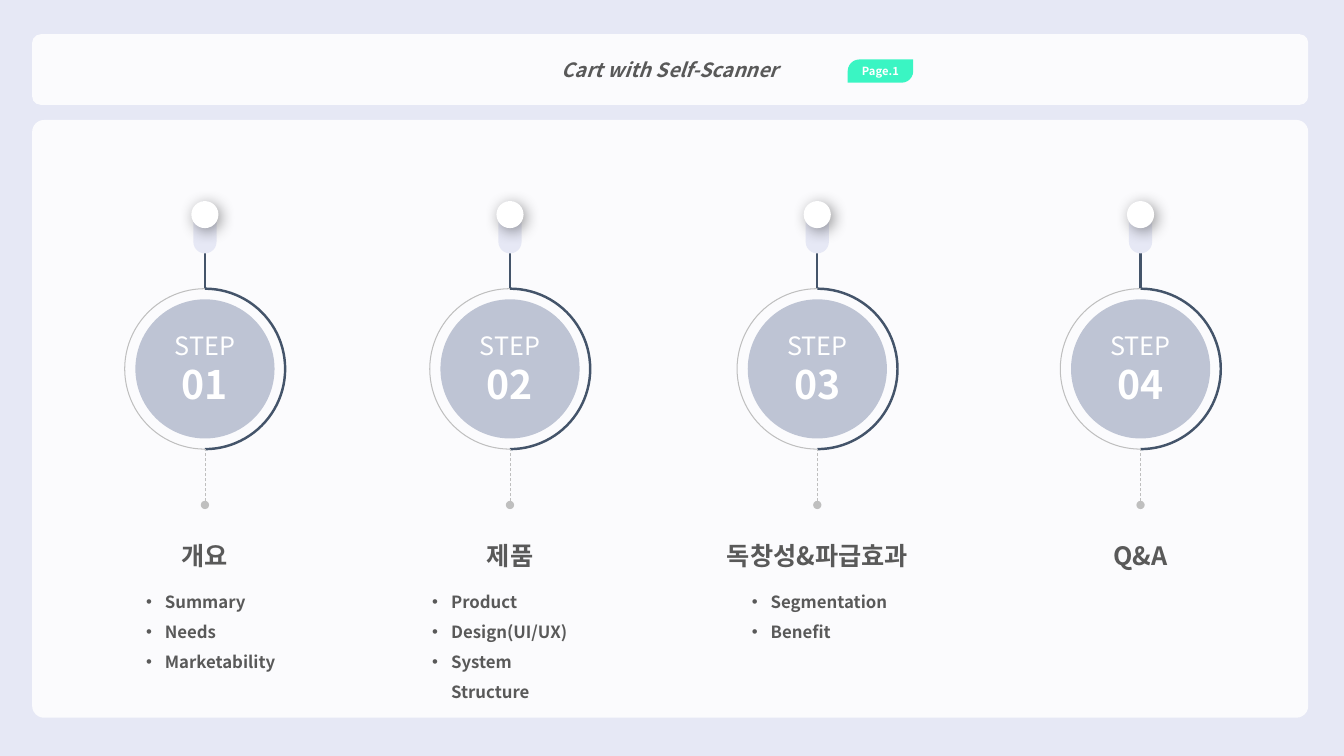
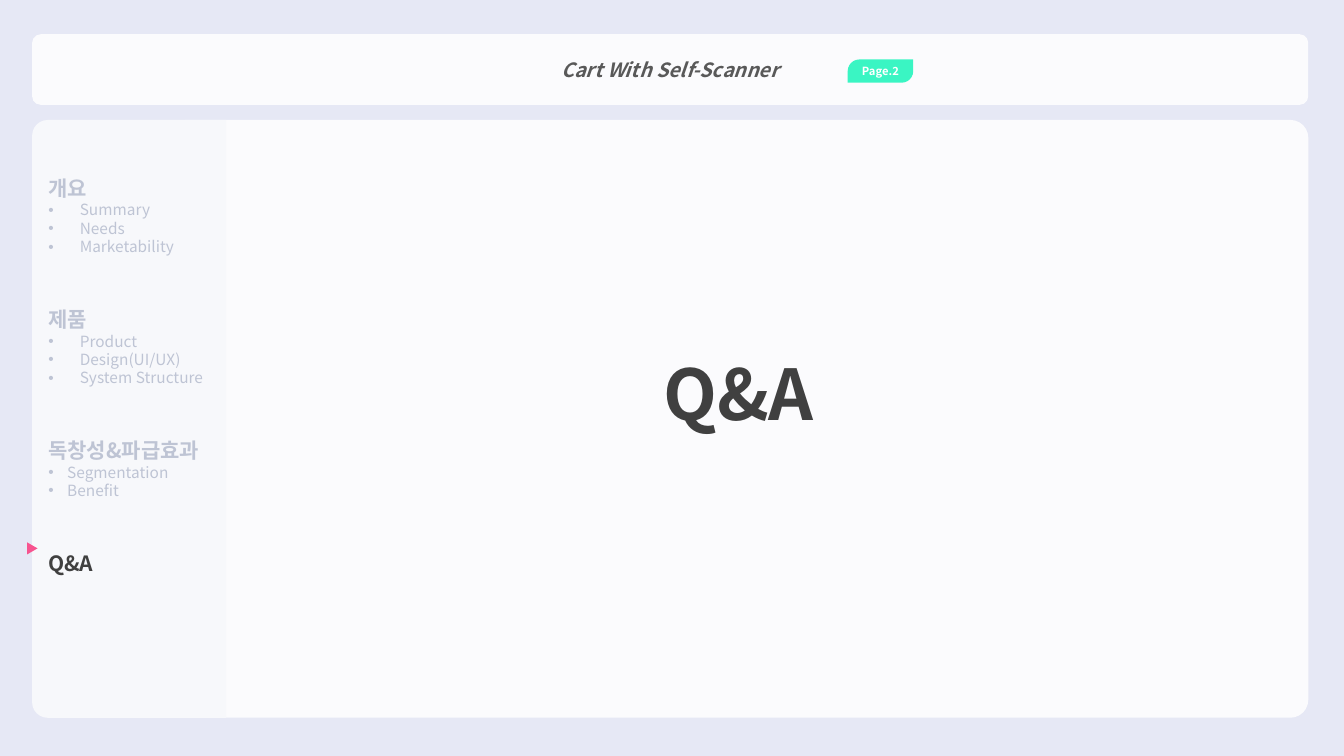
from collections import namedtuple

from lxml import etree
from pptx import Presentation
from pptx.dml.color import RGBColor
from pptx.enum import dml, shapes, text
from pptx.oxml import ns
from pptx.util import Pt

FONT = "Noto Sans CJK KR"
LAVENDER = RGBColor(0xE6, 0xE8, 0xF5)
PANEL = RGBColor(0xFB, 0xFB, 0xFD)
SIDEBAR = RGBColor(0xF7, 0xF8, 0xFB)
MINT = RGBColor(0x3A, 0xF5, 0xC3)
PINK = RGBColor(0xF7, 0x53, 0x8F)
WHITE = RGBColor(0xFF, 0xFF, 0xFF)
NAVY = RGBColor(0x44, 0x54, 0x6A)
MIST = RGBColor(0xBE, 0xC4, 0xD4)
GREY = RGBColor(0xBF, 0xBF, 0xBF)
BODY = RGBColor(0x59, 0x59, 0x59)
DARK = RGBColor(0x40, 0x40, 0x40)

PRESET = shapes.MSO_SHAPE
CENTER = text.PP_ALIGN.CENTER
LEFT = text.PP_ALIGN.LEFT
HEADER_BOX = (23, 24.5, 911.5, 50.4)
CONTENT_BOX = (23, 85.7, 911.5, 427)

Section = namedtuple("Section", "name topics center list_left list_width indent")
SECTIONS = [
    Section("개요", ["Summary", "Needs", "Marketability"], 146.4, 97.2, 107.3, 22.5),
    Section("제품", ["Product", "Design(UI/UX)", "System Structure"], 364.3, 301.7, 127.4, 22.5),
    Section("독창성&파급효과", ["Segmentation", "Benefit"], 583.8, 529.9, 111.6, 13.5),
    Section("Q&A", [], 814.7, 0, 0, 0),
]


class Deck:
    def __init__(self):
        self.presentation = Presentation()
        self.presentation.slide_width = Pt(960)
        self.presentation.slide_height = Pt(540)
        background = self.presentation.slide_master.background.fill
        background.solid()
        background.fore_color.rgb = LAVENDER
        self.slide = None

    def child(self, parent, tag, **attributes):
        element = etree.SubElement(parent, ns.qn(tag))
        for name, value in attributes.items():
            element.set(name, str(value))
        return element

    def add_slide(self, title, page):
        layout = self.presentation.slide_layouts.get_by_name("Title Only")
        self.slide = self.presentation.slides.add_slide(layout)
        self.shape(PRESET.ROUNDED_RECTANGLE, *HEADER_BOX, PANEL, adjustments=[0.12])
        placeholder = self.slide.shapes.title
        placeholder.left, placeholder.top, placeholder.width, placeholder.height = map(Pt, HEADER_BOX)
        placeholder.element.getparent().append(placeholder.element)
        frame = placeholder.text_frame
        frame.auto_size = text.MSO_AUTO_SIZE.NONE
        frame.vertical_anchor = text.MSO_ANCHOR.MIDDLE
        self.add_text(frame, title, 14, BODY, bold=True, italic=True, align=CENTER)
        badge = self.shape(PRESET.ROUND_2_DIAG_RECTANGLE, 605.5, 42.5, 46.8, 16.6, MINT,
                           adjustments=[0.5, 0])
        self.add_text(badge.text_frame, f"Page.{page}", 8, WHITE, bold=True, align=CENTER)

    def shape(self, preset, left, top, width, height, color, rotation=0, adjustments=()):
        if rotation in (90, 270):
            left, top = left + (width - height) / 2, top + (height - width) / 2
            width, height = height, width
        shape = self.slide.shapes.add_shape(preset, Pt(left), Pt(top), Pt(width), Pt(height))
        shape.rotation = rotation
        shape.shadow.inherit = False
        shape.line.fill.background()
        shape.fill.solid()
        shape.fill.fore_color.rgb = color
        for index, value in enumerate(adjustments):
            shape.adjustments[index] = value
        frame = shape.text_frame
        frame.margin_left = frame.margin_right = frame.margin_top = frame.margin_bottom = 0
        frame.vertical_anchor = text.MSO_ANCHOR.MIDDLE
        return shape

    def circle(self, center_x, center_y, radius, color):
        return self.shape(PRESET.OVAL, center_x - radius, center_y - radius,
                          2 * radius, 2 * radius, color)

    def half_ring(self, center_x, center_y, radius, start, end, color, weight):
        arc = self.shape(PRESET.ARC, center_x - radius, center_y - radius, 2 * radius, 2 * radius,
                         color, adjustments=[start * 0.6, end * 0.6])
        arc.fill.background()
        arc.line.color.rgb = color
        arc.line.width = Pt(weight)

    def cast_shadow(self, shape):
        effects = shape.element.spPr.find(ns.qn("a:effectLst"))
        shadow = self.child(effects, "a:outerShdw", blurRad=Pt(11), dist=Pt(3),
                            dir=45 * 60000, algn="tl", rotWithShape=0)
        color = self.child(shadow, "a:srgbClr", val="000000")
        self.child(color, "a:alpha", val=40000)

    def vertical_line(self, x, start, end, color, weight, dotted=False):
        connector = self.slide.shapes.add_connector(
            shapes.MSO_CONNECTOR.STRAIGHT, Pt(x), Pt(start), Pt(x), Pt(end))
        connector.line.color.rgb = color
        connector.line.width = Pt(weight)
        if dotted:
            connector.line.dash_style = dml.MSO_LINE.DASH
            outline = connector.element.spPr.find(ns.qn("a:ln"))
            self.child(outline, "a:headEnd", type="oval")
        self.child(connector.element.spPr, "a:effectLst")

    def text_box(self, left, top, width, height):
        box = self.slide.shapes.add_textbox(Pt(left), Pt(top), Pt(width), Pt(height))
        box.text_frame.word_wrap = True
        return box.text_frame

    def add_text(self, frame, content, size, color, bold=False, italic=False,
                 align=LEFT, spacing=1.0, indent=0):
        paragraph = frame.paragraphs[0]
        if paragraph.runs:
            paragraph = frame.add_paragraph()
        if indent:
            properties = paragraph._p.get_or_add_pPr()
            properties.set("marL", str(Pt(indent)))
            properties.set("indent", str(-Pt(indent)))
            self.child(properties, "a:buFont", typeface="Arial")
            self.child(properties, "a:buChar", char="•")
        paragraph.alignment = align
        paragraph.line_spacing = spacing
        run = paragraph.add_run()
        run.text = content
        run.font.size = Pt(size)
        run.font.bold = bold
        run.font.italic = italic
        run.font.color.rgb = color
        run.font.name = FONT
        self.child(run._r.get_or_add_rPr(), "a:ea", typeface=FONT)

    def step(self, number, section):
        x, y = section.center, 263.5
        self.half_ring(x, y, 57.3, 90, 270, GREY, 0.75)
        self.half_ring(x, y, 57.3, 270, 90, NAVY, 1.75)
        self.vertical_line(x, 205.9, 181, NAVY, 1.5)
        self.vertical_line(x, 360.7, 321, GREY, 0.5, dotted=True)
        self.shape(PRESET.ROUNDED_RECTANGLE, x - 8.3, 143.6, 16.6, 37.4, LAVENDER,
                   adjustments=[0.5])
        self.cast_shadow(self.circle(x, 153.3, 9.7, WHITE))
        disc = self.circle(x, y, 49.7, MIST).text_frame
        self.add_text(disc, "STEP", 18, WHITE, align=CENTER)
        self.add_text(disc, f"{number:02}", 28, WHITE, bold=True, align=CENTER)
        heading = self.text_box(x - 96, 371.5, 192, 36)
        self.add_text(heading, section.name, 18, BODY, bold=True, align=CENTER, spacing=1.5)
        if section.topics:
            topics = self.text_box(section.list_left, 411.6, section.list_width, 70)
            for topic in section.topics:
                self.add_text(topics, topic, 12, BODY, bold=True, spacing=1.5, indent=13.5)

    def sidebar(self, current):
        left, top, width, height = CONTENT_BOX
        self.shape(PRESET.ROUND_2_SAME_RECTANGLE, 131.8, top, left + width - 131.8, height, PANEL,
                   rotation=90, adjustments=[0.03, 0])
        self.shape(PRESET.ROUND_2_SAME_RECTANGLE, left, top, 138.5, height, SIDEBAR,
                   rotation=270, adjustments=[0.08, 0])
        menu = self.text_box(27.4, top, 134, 322)
        for section in SECTIONS:
            color = DARK if section is current else MIST
            self.add_text(menu, section.name, 15, color, bold=True, spacing=3.0)
            for topic in section.topics:
                self.add_text(menu, topic, 11, color, indent=section.indent)
        self.shape(PRESET.ISOSCELES_TRIANGLE, 19.4, 387.4, 7.4, 8.6, PINK, rotation=90)


def main():
    deck = Deck()

    deck.add_slide("Cart with Self-Scanner", 1)
    deck.shape(PRESET.ROUNDED_RECTANGLE, *CONTENT_BOX, PANEL, adjustments=[0.02])
    for number, section in enumerate(SECTIONS, 1):
        deck.step(number, section)

    deck.add_slide("Cart With Self-Scanner", 2)
    closing = SECTIONS[-1]
    deck.sidebar(closing)
    deck.add_text(deck.text_box(466.6, 247, 132.5, 67.7), closing.name, 50, DARK, bold=True)

    deck.presentation.save("out.pptx")


if __name__ == "__main__":
    main()
